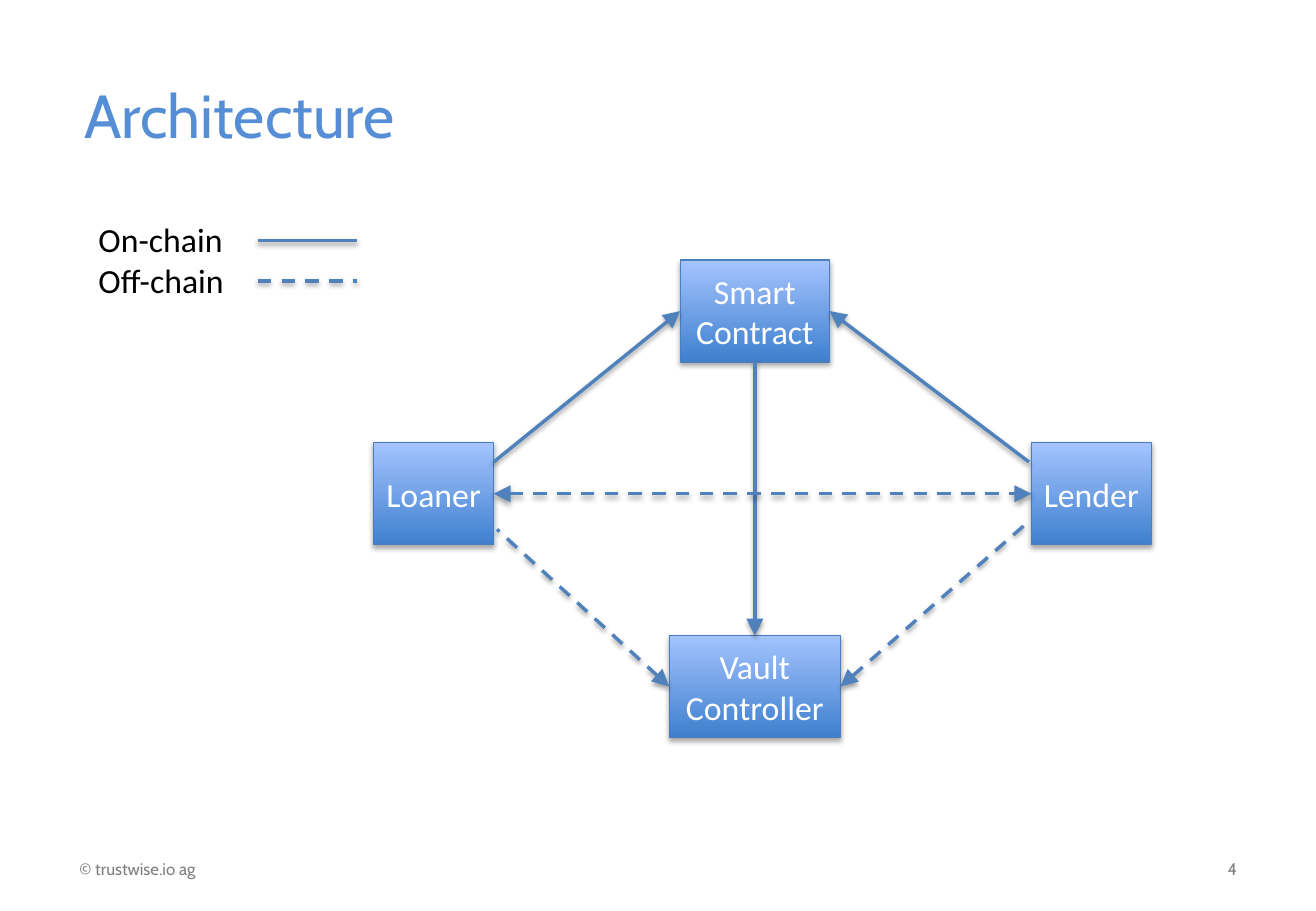
from dataclasses import dataclass
from typing import Union

from lxml.etree import SubElement
from pptx import Presentation
from pptx.dml.color import RGBColor
from pptx.enum.dml import MSO_LINE
from pptx.enum.shapes import MSO_CONNECTOR, MSO_SHAPE
from pptx.enum.text import MSO_ANCHOR, PP_ALIGN
from pptx.oxml.ns import qn
from pptx.shapes.autoshape import Shape
from pptx.shapes.connector import Connector
from pptx.slide import Slide
from pptx.text.text import TextFrame
from pptx.util import Cm, Pt

TITLE_BLUE = RGBColor(0x55, 0x8E, 0xD5)
FOOTER_GRAY = RGBColor(0x80, 0x80, 0x80)
BOX_DARK = RGBColor(0x3F, 0x80, 0xCE)
BOX_LIGHT = RGBColor(0xA4, 0xC4, 0xFF)
BOX_BORDER = RGBColor(0x4B, 0x7E, 0xBC)
LINK_BLUE = RGBColor(0x4F, 0x81, 0xBD)
WHITE = RGBColor(0xFF, 0xFF, 0xFF)
BLACK = RGBColor(0x00, 0x00, 0x00)

TOP, LEFT, BOTTOM, RIGHT = range(4)
SIDE_OFFSETS = ((0.5, 0), (0, 0.5), (0.5, 1), (1, 0.5))
BOX_HEIGHT = 2.13


@dataclass(frozen=True)
class TextStyle:
    font: str
    size: float
    color: RGBColor
    align: PP_ALIGN = PP_ALIGN.LEFT


@dataclass(frozen=True)
class Label:
    lines: tuple[str, ...]
    left: float
    top: float
    width: float
    height: float
    style: TextStyle
    anchor: MSO_ANCHOR = MSO_ANCHOR.MIDDLE
    margins: tuple[float, float, float, float] = (0.28, 0.15, 0.28, 0.15)


@dataclass(frozen=True)
class Box:
    text: str
    left: float
    top: float
    width: float


@dataclass(frozen=True)
class Side:
    box: Box
    site: int


@dataclass(frozen=True)
class Point:
    x: float
    y: float


@dataclass(frozen=True)
class Link:
    start: Union[Side, Point]
    end: Union[Side, Point]
    dashed: bool = False
    start_arrow: bool = False
    end_arrow: bool = False


TITLE_STYLE = TextStyle("Cabin", 36, TITLE_BLUE)
FOOTER_STYLE = TextStyle("Cabin", 10, FOOTER_GRAY)
NUMBER_STYLE = TextStyle("Cabin", 10, FOOTER_GRAY, PP_ALIGN.RIGHT)
BOX_STYLE = TextStyle("Calibri", 20, WHITE, PP_ALIGN.CENTER)
LEGEND_STYLE = TextStyle("Calibri", 20, BLACK)

LABELS = (
    Label(("Architecture",), 1.37, 0.78, 24.77, 3.18, TITLE_STYLE,
          margins=(0.39, 0.2, 0.28, 0.15)),
    Label(("© trustwise.io ag",), 1.38, 17.65, 8.03, 1.02, FOOTER_STYLE),
    Label(("4",), 19.71, 17.65, 6.43, 1.02, NUMBER_STYLE),
    Label(("On-chain", "Off-chain"), 1.81, 4.45, 3.58, 1.96, LEGEND_STYLE,
          MSO_ANCHOR.TOP, (0.25, 0.13, 0.25, 0.13)),
)

LOANER = Box("Loaner", 7.81, 9.26, 2.51)
VAULT = Box("Vault Controller", 13.99, 13.29, 3.58)
CONTRACT = Box("Smart Contract", 14.22, 5.44, 3.12)
LENDER = Box("Lender", 21.56, 9.26, 2.51)
BOXES = (LOANER, VAULT, CONTRACT, LENDER)

LINKS = (
    Link(Point(10.32, 9.66), Side(CONTRACT, LEFT), end_arrow=True),
    Link(Side(CONTRACT, BOTTOM), Side(VAULT, TOP), end_arrow=True),
    Link(Point(21.51, 9.66), Side(CONTRACT, RIGHT), end_arrow=True),
    Link(Side(LOANER, RIGHT), Side(LENDER, LEFT), True, True, True),
    Link(Side(VAULT, RIGHT), Point(21.51, 10.9), True, True),
    Link(Side(VAULT, LEFT), Point(10.39, 11.07), True, True),
    Link(Point(5.39, 5.03), Point(7.47, 5.03)),
    Link(Point(5.39, 5.88), Point(7.47, 5.88), True),
)


def write_text(frame: TextFrame, lines: tuple[str, ...], style: TextStyle) -> None:
    frame.word_wrap = True
    for index, line in enumerate(lines):
        paragraph = frame.add_paragraph() if index else frame.paragraphs[0]
        paragraph.alignment = style.align
        run = paragraph.add_run()
        run.text = line
        run.font.name = style.font
        run.font.size = Pt(style.size)
        run.font.color.rgb = style.color


def add_shadow(shape: Union[Shape, Connector], distance: float, opacity: int) -> None:
    effects = SubElement(shape._element.spPr, qn("a:effectLst"))
    shadow = SubElement(effects, qn("a:outerShdw"), blurRad=str(Pt(3.1)),
                        dist=str(Pt(distance)), dir="5400000", rotWithShape="0")
    color = SubElement(shadow, qn("a:srgbClr"), val=str(BLACK))
    SubElement(color, qn("a:alpha"), val=str(opacity * 1000))


def draw_label(slide: Slide, label: Label) -> None:
    shape = slide.shapes.add_textbox(
        Cm(label.left), Cm(label.top), Cm(label.width), Cm(label.height))
    frame = shape.text_frame
    frame.vertical_anchor = label.anchor
    (frame.margin_left, frame.margin_top,
     frame.margin_right, frame.margin_bottom) = map(Cm, label.margins)
    write_text(frame, label.lines, label.style)


def draw_box(slide: Slide, box: Box) -> Shape:
    shape = slide.shapes.add_shape(
        MSO_SHAPE.RECTANGLE, Cm(box.left), Cm(box.top), Cm(box.width), Cm(BOX_HEIGHT))
    shape.fill.gradient()
    shape.fill.gradient_angle = 90
    for stop, color, position in zip(
            shape.fill.gradient_stops, (BOX_DARK, BOX_LIGHT), (0, 1)):
        stop.color.rgb = color
        stop.position = position
    shape.line.color.rgb = BOX_BORDER
    shape.line.width = Pt(0.75)
    add_shadow(shape, 1.8, 35)
    shape.text_frame.vertical_anchor = MSO_ANCHOR.MIDDLE
    write_text(shape.text_frame, (box.text,), BOX_STYLE)
    return shape


def position_of(target: Union[Side, Point]) -> tuple[Cm, Cm]:
    if isinstance(target, Point):
        return Cm(target.x), Cm(target.y)
    across, down = SIDE_OFFSETS[target.site]
    return (Cm(target.box.left + across * target.box.width),
            Cm(target.box.top + down * BOX_HEIGHT))


def draw_link(slide: Slide, link: Link, shapes: dict[Box, Shape]) -> None:
    connector = slide.shapes.add_connector(
        MSO_CONNECTOR.STRAIGHT, *position_of(link.start), *position_of(link.end))
    if isinstance(link.start, Side):
        connector.begin_connect(shapes[link.start.box], link.start.site)
    if isinstance(link.end, Side):
        connector.end_connect(shapes[link.end.box], link.end.site)
    connector.line.color.rgb = LINK_BLUE
    connector.line.width = Pt(2)
    if link.dashed:
        connector.line.dash_style = MSO_LINE.DASH
    outline = connector.line._get_or_add_ln()
    for tag, shown in (("a:headEnd", link.start_arrow), ("a:tailEnd", link.end_arrow)):
        if shown:
            SubElement(outline, qn(tag), type="triangle", w="lg", len="lg")
    add_shadow(connector, 1.6, 38)


def main() -> None:
    presentation = Presentation()
    presentation.slide_width = Cm(27.51)
    presentation.slide_height = Cm(19.05)
    slide = presentation.slides.add_slide(presentation.slide_layouts[6])
    for label in LABELS:
        draw_label(slide, label)
    shapes = {box: draw_box(slide, box) for box in BOXES}
    for link in LINKS:
        draw_link(slide, link, shapes)
    presentation.save("out.pptx")


if __name__ == "__main__":
    main()
